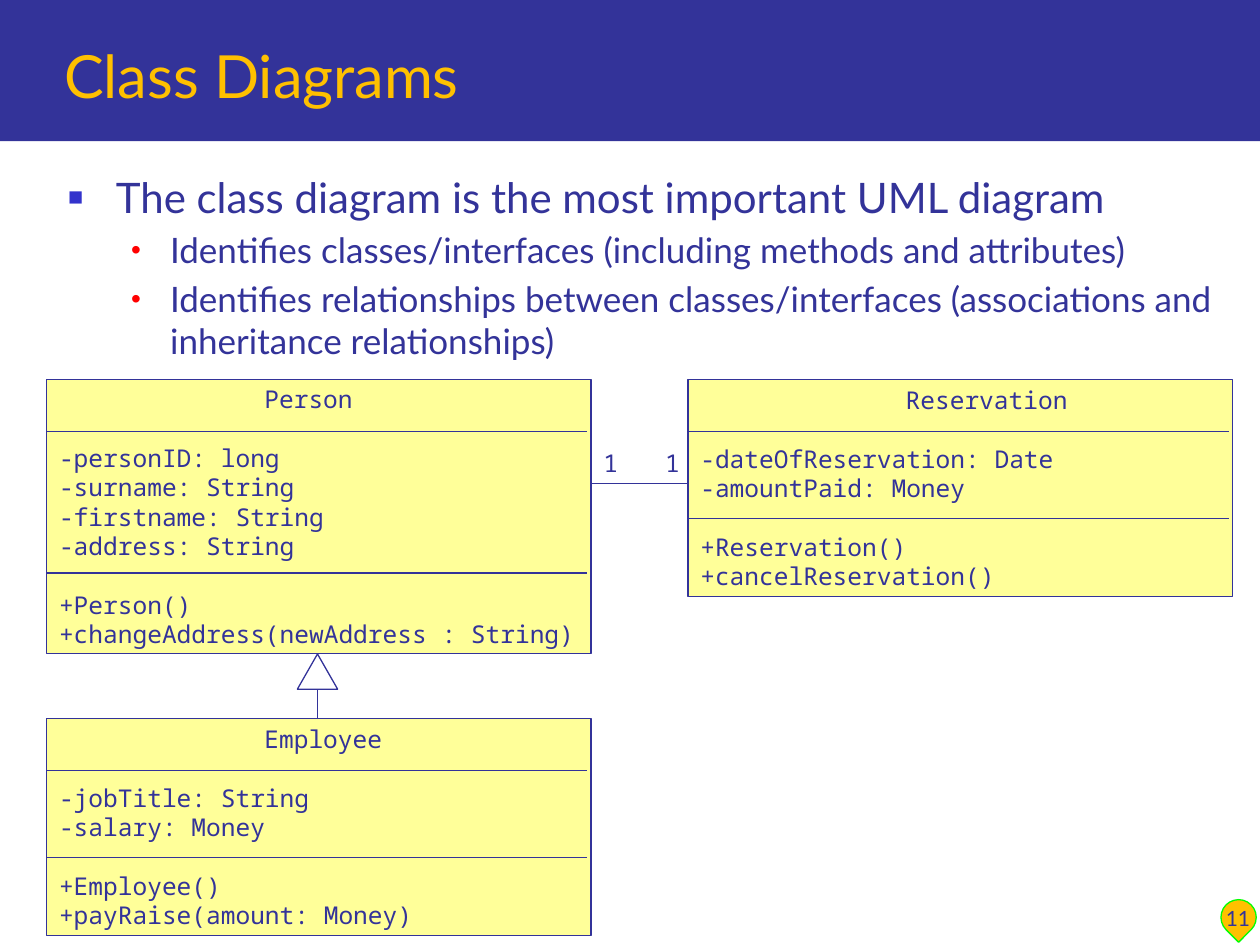
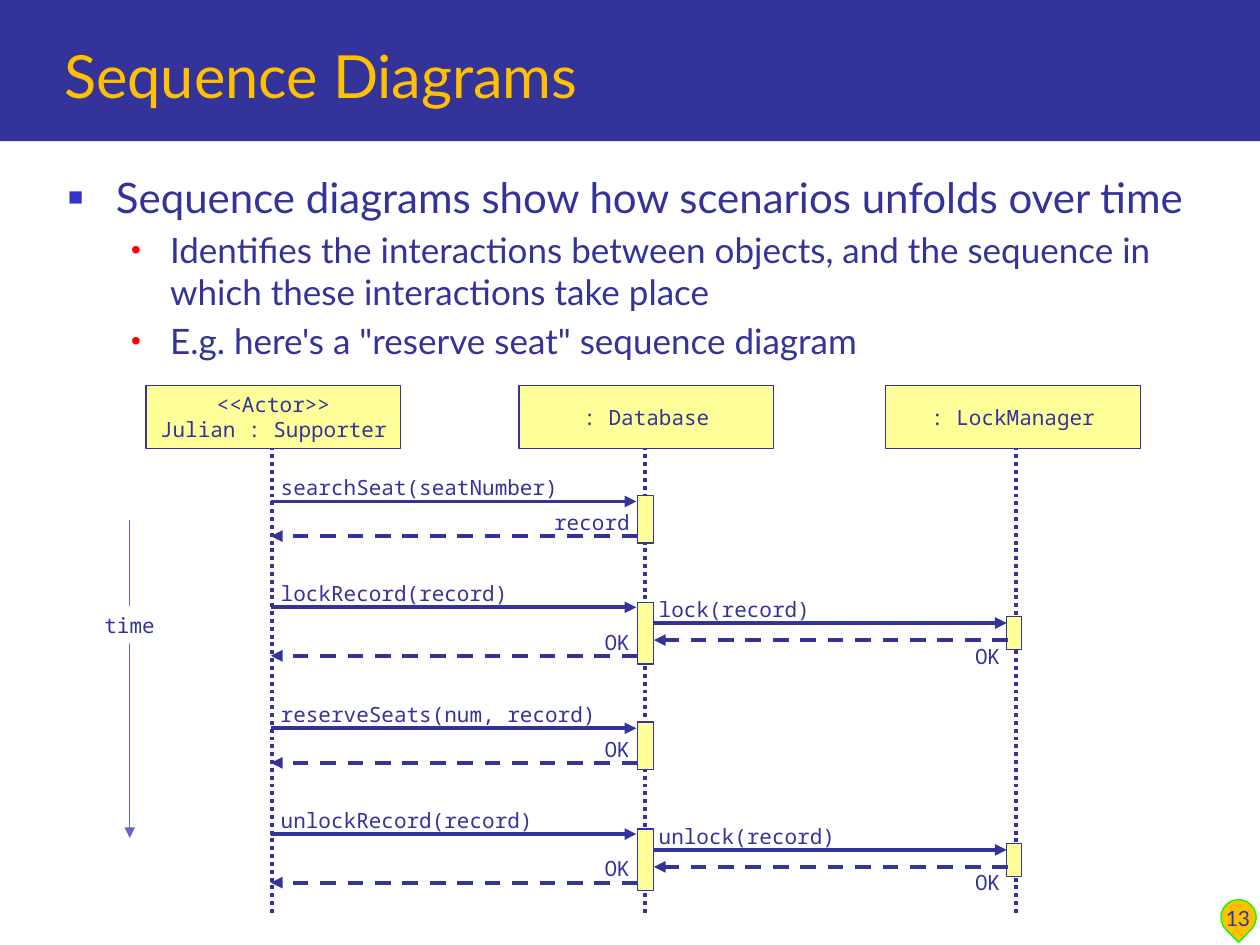
from lxml.etree import SubElement
from pptx import Presentation
from pptx.dml.color import RGBColor
from pptx.enum.dml import MSO_LINE
from pptx.enum.shapes import MSO_CONNECTOR, MSO_SHAPE
from pptx.enum.text import MSO_ANCHOR, MSO_AUTO_SIZE, PP_ALIGN
from pptx.oxml.ns import qn
from pptx.util import Inches, Pt

prs = Presentation()
prs.slide_width, prs.slide_height = Inches(10), Inches(7.5)

# The grid has 100 columns and 75 rows.
COL, ROW = prs.slide_width // 100, prs.slide_height // 75
rgb = RGBColor.from_string
NAVY, GOLD, CREAM, WHITE = "333399", "FFC000", "FFFF99", "FFFFFF"
SANS, MONO = "Lato", "Noto Sans Mono"
LEADING = 1.2


def draw_box(s, kind, at, lines=(), fill=None, line=None, size=12, font=MONO,
             align=PP_ALIGN.LEFT, anchor=MSO_ANCHOR.TOP, wrap=True):
    """Draw a shape, or a text box when kind is None, at grid cells."""
    x, y, w, h = at
    place = int(x * COL), int(y * ROW), int(w * COL), int(h * ROW)
    if kind is None:
        sp = s.shapes.add_textbox(*place)
    else:
        sp = s.shapes.add_shape(kind, *place)
        sp.shadow.inherit = False
    if fill:
        sp.fill.solid()
        sp.fill.fore_color.rgb = rgb(fill)
    if line:
        sp.line.color.rgb = rgb(line)
        sp.line.width = Pt(0.75)
    else:
        sp.line.fill.background()
    tf = sp.text_frame
    for key, value in {"word_wrap": wrap, "vertical_anchor": anchor}.items():
        setattr(tf, key, value)
    for i, text in enumerate(lines):
        p = tf.paragraphs[0] if i == 0 else tf.add_paragraph()
        p.alignment, p.line_spacing = align, Pt(size * LEADING)
        r = p.add_run()
        r.text = text
        for key, value in {"name": font, "size": Pt(size)}.items():
            setattr(r.font, key, value)
        r.font.color.rgb = rgb(NAVY)
    return sp


def draw_line(s, x1, y1, x2, y2, width=0.75, color=NAVY, dash=None, arrow=False):
    """Draw a straight line between grid points, with an optional arrowhead."""
    c = s.shapes.add_connector(MSO_CONNECTOR.STRAIGHT, int(x1 * COL), int(y1 * ROW),
                               int(x2 * COL), int(y2 * ROW))
    c.line.color.rgb = rgb(color)
    c.line.width = Pt(width)
    if dash:
        c.line.dash_style = dash
    if arrow:
        SubElement(c.line._get_or_add_ln(), qn("a:tailEnd"), type="triangle")
    SubElement(c._element.spPr, qn("a:effectLst"))


# Shared layout: title and body places
layout = prs.slide_layouts[1]
title_ph, body_ph, *footers = layout.placeholders
for ph in footers:
    ph._element.getparent().remove(ph._element)
for ph, place in ((title_ph, (4.1, 1.7, 93.5, 7.6)), (body_ph, (4.4, 13.1, 92.8, 54))):
    for key, cells, unit in zip(("left", "top", "width", "height"), place, (COL, ROW) * 2):
        setattr(ph, key, int(cells * unit))

# Text size, margin, indent, space before, bullet, bullet colour, bullet percent
LEVELS = [
    (24, 0.38, -0.38, 0, "■", "3333CC", 60),
    (20, 0.81, -0.31, 4, "•", "FF0000", 80),
]
PAGES = [
    ("Class Diagrams", "11", [
        (0, "The class diagram is the most important UML diagram"),
        (1, "Identifies classes/interfaces (including methods and attributes)"),
        (1, "Identifies relationships between classes/interfaces "
            "(associations and inheritance relationships)")]),
    ("Sequence Diagrams", "13", [
        (0, "Sequence diagrams show how scenarios unfolds over time"),
        (1, "Identifies the interactions between objects, and the sequence in "
            "which these interactions take place"),
        (1, "E.g. here's a \"reserve seat\" sequence diagram")]),
]

slides = []
for title, number, bullets in PAGES:
    s = prs.slides.add_slide(layout)
    if not slides:
        # The band and the number badge move to the layout, behind its placeholders.
        band = draw_box(s, MSO_SHAPE.RECTANGLE, (0, 0, 100, 11.2), fill=NAVY)
        badge = draw_box(s, MSO_SHAPE.TEAR, (96.9, 71.4, 2.8, 2.8), fill=GOLD, line="00FF00")
        badge.rotation = 134.9
        for i, part in enumerate((band, badge)):
            layout.shapes._spTree.insert(2 + i, part._element)
    slides.append(s)
    draw_box(s, None, (95.4, 69.4, 5.7, 5), [number], font=SANS,
             align=PP_ALIGN.CENTER, anchor=MSO_ANCHOR.BOTTOM)

    tf = s.shapes.title.text_frame
    tf.text = title
    tf.vertical_anchor, tf.auto_size = MSO_ANCHOR.BOTTOM, MSO_AUTO_SIZE.NONE
    p = tf.paragraphs[0]
    p.alignment = PP_ALIGN.LEFT
    for key, value in {"name": SANS, "size": Pt(34)}.items():
        setattr(p.runs[0].font, key, value)
    p.runs[0].font.color.rgb = rgb(GOLD)

    tf = s.placeholders[1].text_frame
    tf.auto_size = MSO_AUTO_SIZE.NONE
    for i, (level, text) in enumerate(bullets):
        size, margin, indent, before, char, color, percent = LEVELS[level]
        p = tf.paragraphs[0] if i == 0 else tf.add_paragraph()
        p.level, p.space_before = level, Pt(before)
        pPr = p._p.get_or_add_pPr()
        pPr.set("marL", str(Inches(margin)))
        pPr.set("indent", str(Inches(indent)))
        SubElement(SubElement(pPr, qn("a:buClr")), qn("a:srgbClr"), val=color)
        SubElement(pPr, qn("a:buSzPct"), val=str(percent * 1000))
        SubElement(pPr, qn("a:buChar"), char=char)
        r = p.add_run()
        r.text = text
        for key, value in {"name": SANS, "size": Pt(size)}.items():
            setattr(r.font, key, value)
        r.font.color.rgb = rgb(NAVY)

class_slide, sequence_slide = slides

# Class diagram: association, inheritance, then the classes
s = class_slide
draw_line(s, 46.4, 38.4, 55.5, 38.4)
for x in (46.9, 51.8):
    draw_box(s, None, (x, 35.1, 3.2, 3.3), ["1"], size=14, wrap=False)
draw_line(s, 25.2, 53.8, 25.2, 59.3)
draw_box(s, MSO_SHAPE.ISOSCELES_TRIANGLE, (23.6, 51.9, 3.2, 2.8), fill=WHITE, line=NAVY)

CLASSES = [
    (3.7, 57, "Employee", ["-jobTitle: String", "-salary: Money"],
     ["+Employee()", "+payRaise(amount: Money)"]),
    (3.7, 30.1, "Person",
     ["-personID: long", "-surname: String", "-firstname: String", "-address: String"],
     ["+Person()", "+changeAddress(newAddress : String)"]),
    (54.6, 30.1, "Reservation", ["-dateOfReservation: Date", "-amountPaid: Money"],
     ["+Reservation()", "+cancelReservation()"]),
]
for x, y, name, attributes, methods in CLASSES:
    lines = [name, *attributes, *methods]
    height = 1.5 + 2.25 * (len(lines) + 2)
    sp = draw_box(s, MSO_SHAPE.RECTANGLE, (x, y, 43.2, height), lines, CREAM, NAVY,
                  size=14, anchor=MSO_ANCHOR.MIDDLE)
    paragraphs = sp.text_frame.paragraphs
    paragraphs[0]._p.get_or_add_pPr().set("marL", str(Inches(1.63)))
    for first in (1, 1 + len(attributes)):
        paragraphs[first].space_before = Pt(14 * LEADING)
    for divider in (y + 4.15, y + 6.7 + 2.17 * len(attributes)):
        draw_line(s, x, divider, x + 42.9, divider)

# Sequence diagram: lifelines and their heads
s = sequence_slide
ACTOR, DATABASE, LOCK = 21.5, 51.25, 80.5
for x in (21.6, 51.2, 80.6):
    draw_line(s, x, 34.2, x, 72.5, 2.25, dash=MSO_LINE.ROUND_DOT)
for x, lines in ((11.6, ["<<Actor>>", "Julian : Supporter"]),
                 (41.2, [": Database"]), (70.3, [": LockManager"])):
    sp = draw_box(s, MSO_SHAPE.RECTANGLE, (x, 30.6, 20.2, 5), lines, CREAM, NAVY,
                  align=PP_ALIGN.CENTER, anchor=MSO_ANCHOR.MIDDLE)
    sp.text_frame.margin_left = sp.text_frame.margin_right = 0

# Row of the call, call, reply, nested call to the lock manager
CALLS = [
    (39.8, "searchSeat(seatNumber)", "record", None),
    (48.2, "lockRecord(record)", "OK", "lock(record)"),
    (57.8, "reserveSeats(num, record)", "OK", None),
    (66.2, "unlockRecord(record)", "OK", "unlock(record)"),
]
for y, call, reply, nested in CALLS:
    rise, height, delay = (0.4, 4.9, 3.85) if nested else (0.5, 3.8, 2.75)
    bars = [(50.6, y - rise, 1.3, height)]
    arrows = [(ACTOR, 50.5, y, None), (50.6, ACTOR, y + delay, MSO_LINE.DASH)]
    labels = [(21.3, y - 2.6, call),
              (49 - len(reply), y + delay - 2.6, reply)]
    if nested:
        bars.append((79.9, y + 0.75, 1.2, 2.6))
        arrows += [(51.9, 79.9, y + 1.25, None), (80, 51.9, y + 2.6, MSO_LINE.DASH)]
        labels += [(51.3, y - 1.35, nested), (76.4, y + 2.35, "OK")]
    for bar in bars:
        draw_box(s, MSO_SHAPE.RECTANGLE, bar, fill=CREAM, line=NAVY)
    for start, end, row, dash in arrows:
        draw_line(s, start, row, end, row, 2.25, dash=dash, arrow=True)
    for x, row, text in labels:
        draw_box(s, None, (x, row, len(text) + 2, 3), [text], wrap=False)

# Time axis
draw_line(s, 10.3, 41.3, 10.3, 66.5, color="6363CB", arrow=True)
draw_box(s, MSO_SHAPE.RECTANGLE, (7.3, 48.1, 6, 3), ["time"], fill=WHITE, wrap=False)

prs.save("out.pptx")
